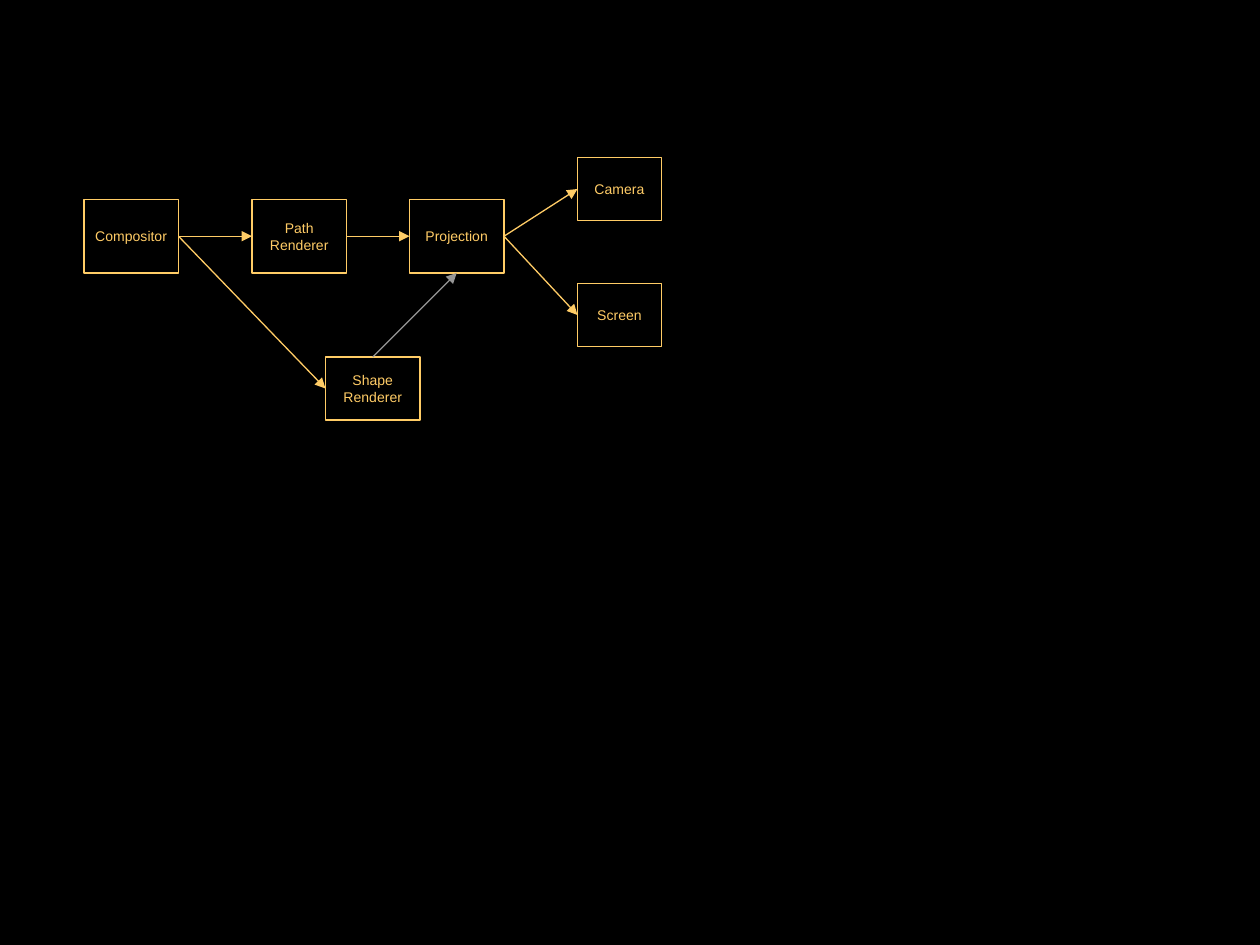
"""Build a slide that shows how the rendering classes depend on each other."""
from dataclasses import dataclass

from lxml import etree
from pptx import Presentation
from pptx import util as u
from pptx.dml.color import RGBColor
from pptx.enum import shapes, text
from pptx.oxml.ns import qn

PX = 9525
TOP, LEFT, BOTTOM, RIGHT = range(4)


@dataclass(frozen=True)
class Theme:
    background: RGBColor = RGBColor(0x00, 0x00, 0x00)
    accent: RGBColor = RGBColor(0xFF, 0xCC, 0x66)
    muted: RGBColor = RGBColor(0x96, 0x96, 0x96)
    font: str = "Arial"
    label_size: u.Pt = u.Pt(8)
    stroke: u.Pt = u.Pt(0.75)


THEME = Theme()


@dataclass(frozen=True)
class Component:
    label: str
    left: int
    top: int
    width: int = 72
    height: int = 56


@dataclass(frozen=True)
class Dependency:
    user: str
    user_side: int
    used: str
    used_side: int = LEFT
    color: RGBColor = THEME.accent


COMPONENTS = [
    Component("Compositor", 64, 152),
    Component("Path\nRenderer", 192, 152),
    Component("Projection", 312, 152),
    Component("Camera", 440, 120, 64, 48),
    Component("Screen", 440, 216, 64, 48),
    Component("Shape\nRenderer", 248, 272, height=48),
]

DEPENDENCIES = [
    Dependency("Compositor", RIGHT, "Path\nRenderer"),
    Dependency("Path\nRenderer", RIGHT, "Projection"),
    Dependency("Projection", RIGHT, "Camera"),
    Dependency("Projection", RIGHT, "Screen"),
    Dependency("Shape\nRenderer", TOP, "Projection", BOTTOM, THEME.muted),
    Dependency("Compositor", RIGHT, "Shape\nRenderer"),
]

LABEL_FORMAT = {
    "word_wrap": False,
    "vertical_anchor": text.MSO_ANCHOR.MIDDLE,
    "margin_left": u.Inches(0.1),
    "margin_right": u.Inches(0.1),
    "margin_top": u.Inches(0.05),
    "margin_bottom": u.Inches(0.05),
}
FONT_FORMAT = {"name": THEME.font, "size": THEME.label_size}


def apply(target, values: dict) -> None:
    for key, value in values.items():
        setattr(target, key, value)


def draw_stroke(line, color: RGBColor) -> None:
    line.color.rgb = color
    line.width = THEME.stroke


def draw_component(slide, component: Component):
    bounds = (component.left, component.top, component.width, component.height)
    box = slide.shapes.add_shape(
        shapes.MSO_SHAPE.RECTANGLE, *(side * PX for side in bounds)
    )
    box.shadow.inherit = False
    box.fill.background()
    draw_stroke(box.line, THEME.accent)
    label = box.text_frame
    label.text = component.label
    apply(label, LABEL_FORMAT)
    for row in label.paragraphs:
        row.alignment = text.PP_ALIGN.CENTER
        for run in row.runs:
            apply(run.font, FONT_FORMAT)
            run.font.color.rgb = THEME.accent
    return box


def draw_dependency(slide, dependency: Dependency, boxes: dict) -> None:
    arrow = slide.shapes.add_connector(shapes.MSO_CONNECTOR.STRAIGHT, 0, 0, 0, 0)
    arrow.begin_connect(boxes[dependency.user], dependency.user_side)
    arrow.end_connect(boxes[dependency.used], dependency.used_side)
    draw_stroke(arrow.line, dependency.color)
    etree.SubElement(arrow.line._get_or_add_ln(), qn("a:tailEnd"), type="triangle")
    etree.SubElement(arrow._element.spPr, qn("a:effectLst"))


def main() -> None:
    deck = Presentation()
    apply(deck, {"slide_width": 960 * PX, "slide_height": 720 * PX})
    slide = deck.slides.add_slide(deck.slide_layouts[6])
    slide.background.fill.solid()
    slide.background.fill.fore_color.rgb = THEME.background
    boxes = {part.label: draw_component(slide, part) for part in COMPONENTS}
    for dependency in DEPENDENCIES:
        draw_dependency(slide, dependency, boxes)
    deck.save("out.pptx")


if __name__ == "__main__":
    main()
